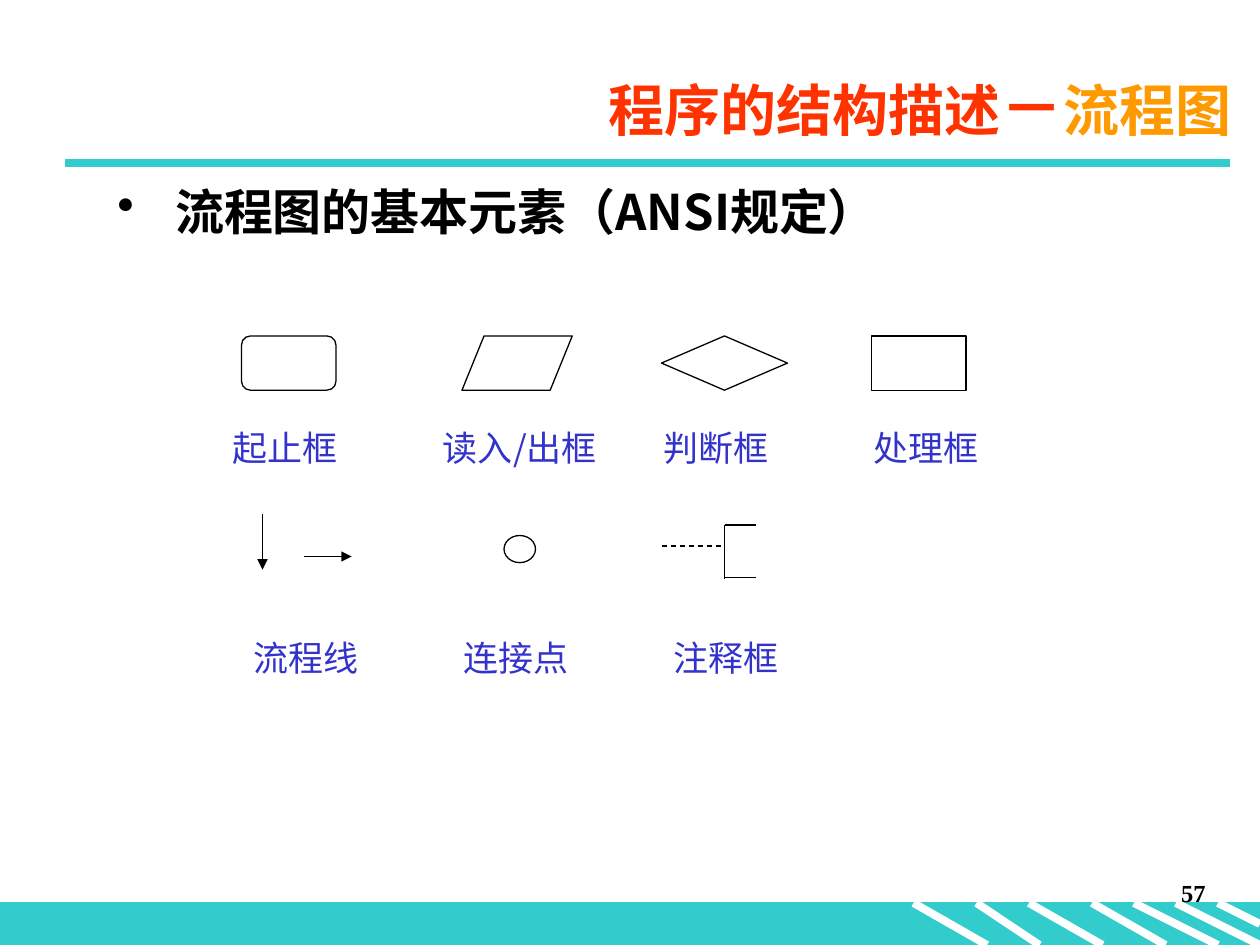
from lxml.etree import SubElement
from pptx import Presentation
from pptx.dml.color import RGBColor
from pptx.enum.dml import MSO_LINE
from pptx.enum.shapes import MSO_CONNECTOR, MSO_SHAPE
from pptx.enum.text import MSO_ANCHOR, PP_ALIGN
from pptx.oxml.ns import qn
from pptx.util import Pt

COLORS = {"teal": "33CCCC", "white": "FFFFFF", "black": "000000",
          "red": "FF3300", "orange": "FF9900", "blue": "3333CC"}
SANS = "Noto Sans CJK SC"
SERIF = "Times New Roman"

SYMBOL_TOP = 192
SYMBOL_HEIGHT = 31
STRIPES = [(522, 564, 540), (558, 594, 540), (588, 630, 540), (624, 666, 540),
           (648, 696, 540), (672, 720, 540), (696, 720, 528)]
SYMBOLS = [
    (MSO_SHAPE.FLOWCHART_ALTERNATE_PROCESS, 138, 54),
    (MSO_SHAPE.FLOWCHART_DATA, 264, 63),
    (MSO_SHAPE.FLOWCHART_DECISION, 378, 72),
    (MSO_SHAPE.FLOWCHART_PROCESS, 498, 54),
]
LABEL_ROWS = {
    240: [("起止框", 126, 90), ("读入/出框", 246, 120),
          ("判断框", 372, 84), ("处理框", 492, 78)],
    360: [("流程线", 138, 90), ("连接点", 258, 90), ("注释框", 378, 90)],
}


def rgb(color):
    return RGBColor.from_string(COLORS[color])


def add_symbol(slide, kind, left, top, width, height, fill="white", outline="black"):
    symbol = slide.shapes.add_shape(kind, Pt(left), Pt(top), Pt(width), Pt(height))
    symbol.shadow.inherit = False
    symbol.fill.solid()
    symbol.fill.fore_color.rgb = rgb(fill)
    symbol.line.color.rgb = rgb(outline)
    symbol.line.width = Pt(0.75)


def add_line(slide, x1, y1, x2, y2, color="black", width=0.75, arrow=False, dashed=False):
    line = slide.shapes.add_connector(
        MSO_CONNECTOR.STRAIGHT, Pt(x1), Pt(y1), Pt(x2), Pt(y2))
    line.line.color.rgb = rgb(color)
    line.line.width = Pt(width)
    if dashed:
        line.line.dash_style = MSO_LINE.DASH
    if arrow:
        SubElement(line.line._get_or_add_ln(), qn("a:tailEnd"), type="triangle")
    SubElement(line._element.spPr, qn("a:effectLst"))


def style(font, size, face, color):
    font.size = Pt(size)
    font.name = face
    font.color.rgb = rgb(color)


def add_text_box(slide, left, top, width, height, align=PP_ALIGN.LEFT):
    """Add a wrapping text box and return its frame and first paragraph."""
    frame = slide.shapes.add_textbox(Pt(left), Pt(top), Pt(width), Pt(height)).text_frame
    frame.word_wrap = True
    paragraph = frame.paragraphs[0]
    paragraph.alignment = align
    return frame, paragraph


def add_text(slide, text, left, top, width, height, size, face, color,
             bold=False, align=PP_ALIGN.LEFT, bullet_indent=0):
    paragraph = add_text_box(slide, left, top, width, height, align)[1]
    paragraph.text = text
    if bullet_indent:
        properties = paragraph._p.get_or_add_pPr()
        properties.set("marL", str(Pt(bullet_indent)))
        properties.set("indent", str(-Pt(bullet_indent)))
        SubElement(properties, qn("a:buChar"), char="•")
    style(paragraph.font, size, face, color)
    paragraph.font.bold = bold
    use_east_asian_font(paragraph)


def use_east_asian_font(paragraph):
    """Show the Chinese characters in the sans font."""
    for latin in list(paragraph._p.iter(qn("a:latin"))):
        SubElement(latin.getparent(), qn("a:ea"), typeface=SANS)


def add_footer(slide):
    add_symbol(slide, MSO_SHAPE.RECTANGLE, 0, 516, 720, 24, "teal", "teal")
    for start, end, bottom in STRIPES:
        add_line(slide, start, 516, end, bottom, "white", 4.5)
    add_text(slide, "57", 546, 498, 150, 36, 14, SERIF, "black",
             bold=True, align=PP_ALIGN.RIGHT)


def add_title(slide):
    add_line(slide, 37, 93, 703, 93, "teal", 4.5)
    frame, paragraph = add_text_box(slide, 99, 32, 612, 57, PP_ALIGN.RIGHT)
    frame.vertical_anchor = MSO_ANCHOR.MIDDLE
    paragraph.font.bold = True
    for text, size, face, color in [("程序的结构描述", 32, SERIF, "red"),
                                    ("－", 36, SANS, "red"),
                                    ("流程图", 32, SERIF, "orange")]:
        run = paragraph.add_run()
        run.text = text
        style(run.font, size, face, color)
    use_east_asian_font(paragraph)


def add_flow_lines(slide):
    add_line(slide, 150, 294, 150, 325.5, arrow=True)
    add_line(slide, 174, 318, 201, 318, arrow=True)


def add_annotation_symbol(slide):
    add_line(slide, 414, 300, 414, 331)
    for y in (300, 330):
        add_line(slide, 414, y, 432, y)
    add_line(slide, 378, 312, 414, 312, dashed=True)


def main():
    presentation = Presentation()
    presentation.slide_width, presentation.slide_height = Pt(720), Pt(540)
    slide = presentation.slides.add_slide(presentation.slide_layouts[6])

    add_footer(slide)
    add_title(slide)
    add_text(slide, "流程图的基本元素（ANSI规定）", 60, 100, 612, 363, 28, SANS, "black",
             bold=True, bullet_indent=33)
    for kind, left, width in SYMBOLS:
        add_symbol(slide, kind, left, SYMBOL_TOP, width, SYMBOL_HEIGHT)
    add_flow_lines(slide)
    add_symbol(slide, MSO_SHAPE.OVAL, 288, 306, 18, 15.5)
    add_annotation_symbol(slide)
    for top, labels in LABEL_ROWS.items():
        for text, left, width in labels:
            add_text(slide, text, left, top, width, 31, 20, SANS, "blue")

    presentation.save("out.pptx")


if __name__ == "__main__":
    main()
